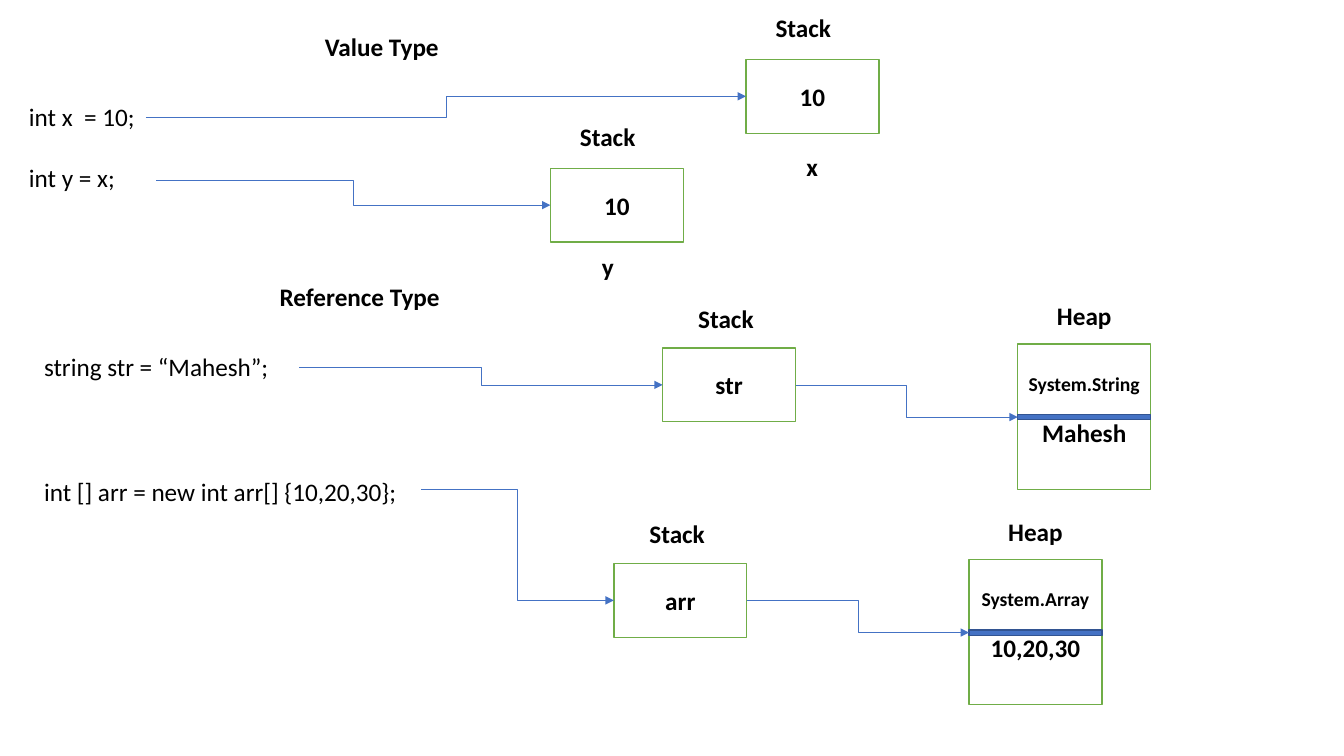
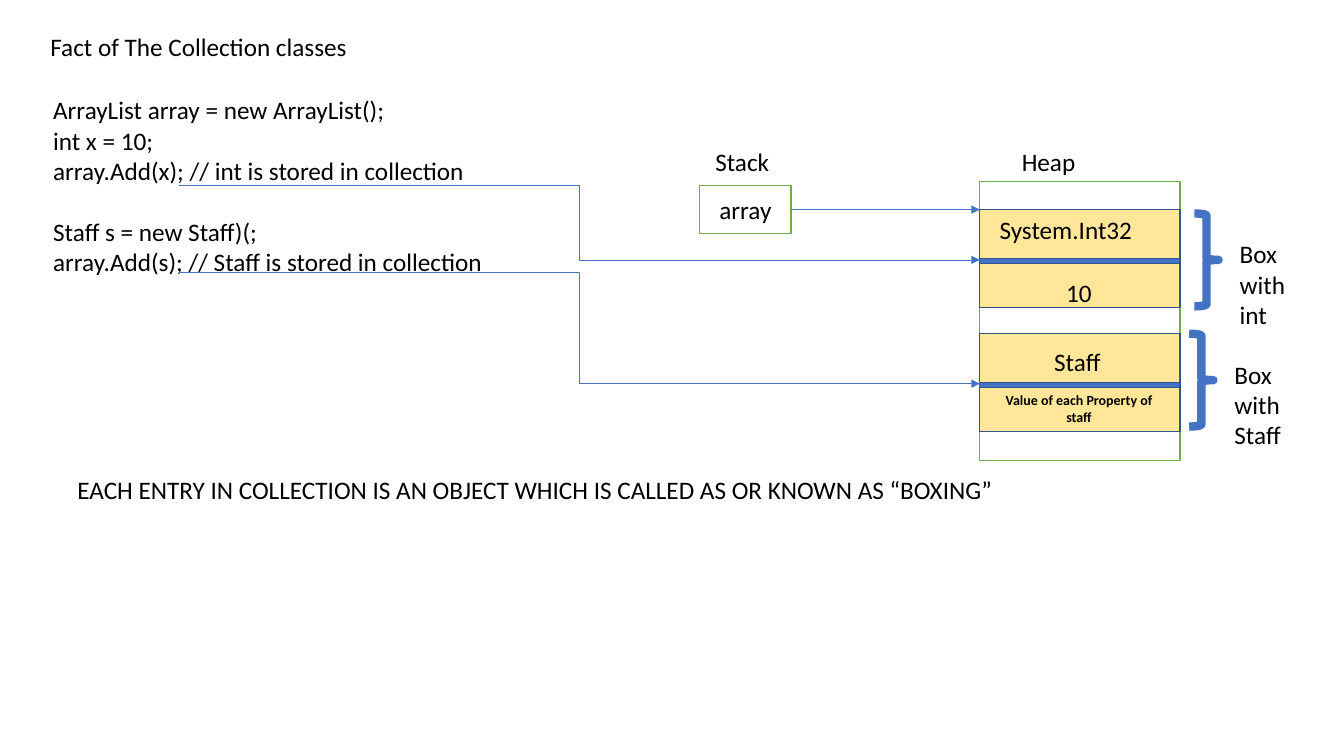
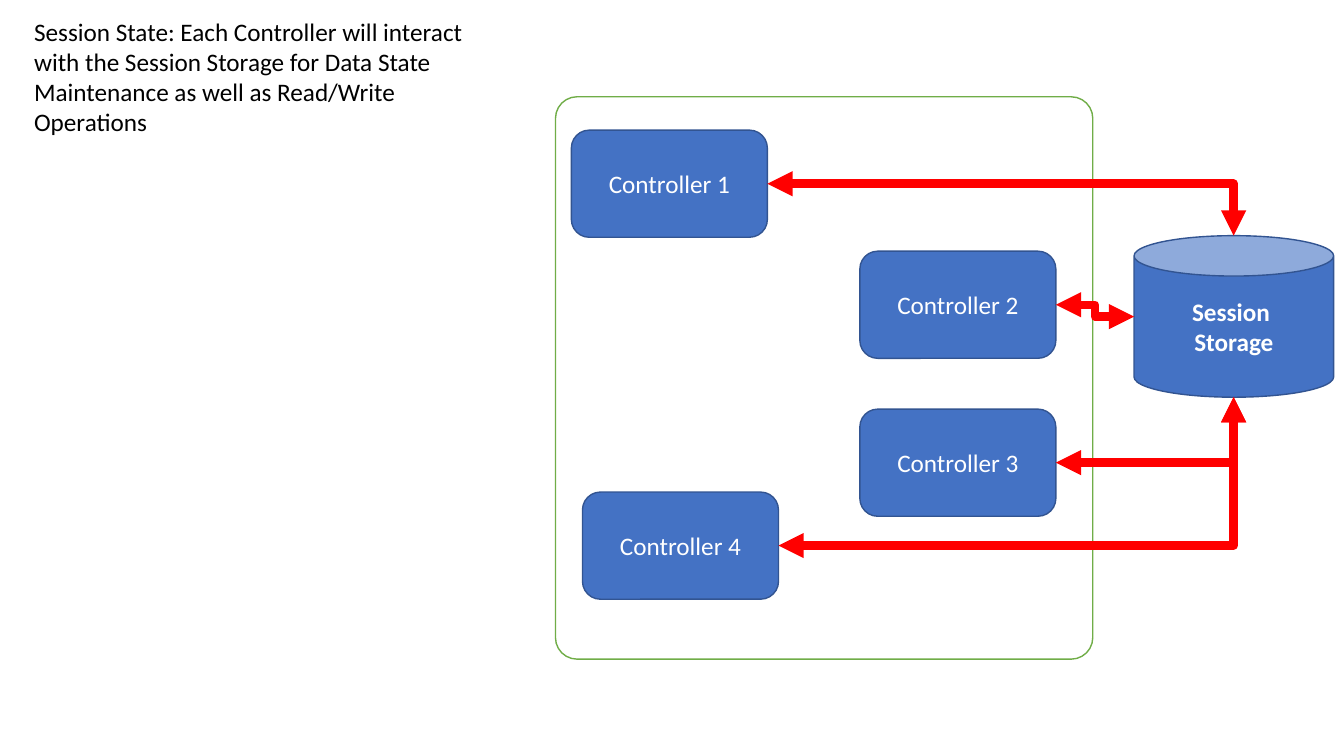
"""Build three slides on value types, boxing and session state."""
from dataclasses import dataclass
from lxml.etree import SubElement
from pptx import Presentation
from pptx.dml.color import RGBColor as RGB
from pptx.enum.shapes import MSO_CONNECTOR as Wire, MSO_SHAPE as Kind
from pptx.enum.text import MSO_ANCHOR as Anchor, MSO_AUTO_SIZE as Auto, PP_ALIGN as Align
from pptx.oxml.ns import qn
from pptx.util import Cm, Pt


@dataclass(frozen=True)
class Theme:
    font: str = "Calibri"
    black: str = "000000"
    white: str = "FFFFFF"
    blue: str = "4472C4"
    navy: str = "325491"
    green: str = "70AD47"
    sand: str = "FFE699"
    red: str = "FF0000"
    body: int = 18
    note: int = 14
    tiny: int = 10
    gap: int = 22
    thin: float = 0.5
    edge: float = 1
    thick: float = 6


look = Theme()
LEFT, MID = Align.LEFT, Align.CENTER


def put(slide, box, text="", kind=None, fill=None, line=look.green, width=look.edge,
        size=look.body, bold=False, ink=look.black, align=MID):
    area = [Cm(n) for n in box]
    if kind is None:
        item = slide.shapes.add_textbox(*area)
        item.text_frame.auto_size = Auto.SHAPE_TO_FIT_TEXT
    else:
        item = slide.shapes.add_shape(kind, *area)
        item.shadow.inherit = False
        item.line.color.rgb = RGB.from_string(line)
        item.line.width = Pt(width)
        if fill:
            item.fill.solid()
            item.fill.fore_color.rgb = RGB.from_string(fill)
        else:
            item.fill.background()
        item.text_frame.vertical_anchor = Anchor.MIDDLE
    frame = item.text_frame
    frame.word_wrap = True
    first = True
    for block in text.split("\n\n") if text else []:
        for row, words in enumerate(block.split("\n")):
            para = frame.paragraphs[0] if first else frame.add_paragraph()
            para.text = words
            para.alignment = align
            if row == 0 and not first:
                para.space_before = Pt(look.gap)
            para.font.name = look.font
            para.font.size = Pt(size)
            para.font.bold = bold
            para.font.color.rgb = RGB.from_string(ink)
            first = False
    return item


def link(slide, start, end, wire=Wire.ELBOW, color=look.blue, width=look.thin, both=False, corner=False):
    item = slide.shapes.add_connector(wire, *[Cm(n) for n in (*start, *end)])
    item.line.color.rgb = RGB.from_string(color)
    item.line.width = Pt(width)
    props = item.element.find(qn("p:spPr"))
    for tag in ("a:headEnd", "a:tailEnd") if both else ("a:tailEnd",):
        SubElement(props.find(qn("a:ln")), qn(tag), type="triangle")
    SubElement(props, qn("a:effectLst"))
    if corner:
        props.find(qn("a:prstGeom")).set("prst", "bentConnector2")


deck = Presentation()
deck.slide_width, deck.slide_height = Cm(33.87), Cm(19.05)
types, boxing, state = [deck.slides.add_slide(deck.slide_layouts[6]) for _ in range(3)]

put(types, (0.86, 0.66, 17.53, 1.02), "Value Type", bold=True)
put(types, (0.3, 6.96, 17.53, 1.02), "Reference Type", bold=True)
put(types, (0.48, 2.44, 7.65, 2.57), "int x  = 10;\n\nint y = x;", align=LEFT)
put(types, (0.86, 8.74, 9.17, 1.02), "string str = “Mahesh”;", align=LEFT)
put(types, (0.86, 11.89, 15.85, 1.02), "int [] arr = new int arr[] {10,20,30}; ", align=LEFT)

wide, high = 3.35, 1.86
for name, left, top, tag, start in [
    ("x", 18.8, 1.5, (19.63, 3.68), (3.68, 2.95)),
    ("y", 13.87, 4.24, (14.48, 6.22), (3.94, 4.55)),
]:
    put(types, (left, top, wide, high), "10", Kind.RECTANGLE, look.white, bold=True)
    put(types, (left + 0.1, top - 1.32, 2.69, 1.02), "Stack", bold=True)
    put(types, (*tag, 1.68, 1.02), name, bold=True)
    link(types, start, (left, top + high / 2))

for name, kin, value, left, top, start in [
    ("str", "System.String", "Mahesh", 16.7, 8.77, (7.54, 9.25)),
    ("arr", "System.Array", "10,20,30", 15.47, 14.2, (10.62, 12.32)),
]:
    heap, roof, mid = left + 8.95, top - 0.1, top + high / 2
    put(types, (left, top, wide, high), name, Kind.RECTANGLE, look.white, bold=True)
    put(types, (left + 0.25, top - 1.26, 2.69, 1.02), "Stack", bold=True)
    cell = put(types, (heap, roof, wide, 3.66), value, Kind.RECTANGLE, look.white, bold=True)
    cell.text_frame.margin_top = Cm(0.9)
    put(types, (heap + 0.33, roof - 1.22, 2.69, 1.02), "Heap", bold=True)
    put(types, (heap, roof + 0.57, wide, 0.86), kin, size=look.note, bold=True)
    put(types, (heap, roof + 1.78, wide, 0.13), "", Kind.RECTANGLE, look.blue, look.navy)
    link(types, start, (left, mid))
    link(types, (left + wide, mid), (heap, roof + 1.84))

put(boxing, (1.02, 0.66, 31.62, 1.02), "Fact of The Collection classes", align=LEFT)
code = """ArrayList array = new ArrayList();
int x = 10;
array.Add(x); // int is stored in collection

Staff s = new Staff)(;
array.Add(s); // Staff is stored in collection"""
put(boxing, (1.09, 2.26, 13.03, 4.88), code, align=LEFT)
put(boxing, (24.61, 3.56, 3.63, 1.02), "Heap")
put(boxing, (16.89, 3.56, 3.63, 1.02), "Stack")
put(boxing, (17.63, 4.67, 2.31, 1.22), "array", Kind.RECTANGLE, look.white)
heap, span = 24.69, 5.05
put(boxing, (heap, 4.57, span, 7.04), "", Kind.RECTANGLE, look.white)
link(boxing, (19.94, 5.28), (heap, 5.28), Wire.STRAIGHT)
for top, kin, head, side, value, low, size, brace, label, start in [
    (5.28, "System.Int32", (5.28, 4.83), LEFT, "10", 6.86, look.body, (30.1, 5.38), "int", 4.67),
    (8.4, "Staff", (8.61, 4.42), MID, "Value of each Property of staff", 9.75, look.tiny,
     (29.97, 8.41), "Staff", 6.86),
]:
    put(boxing, (heap, top, span, 2.47), "", Kind.RECTANGLE, look.sand, look.navy)
    put(boxing, (heap, top + 1.24, span, 0.12), "", Kind.RECTANGLE, look.blue, look.navy)
    put(boxing, (heap + 0.25, head[0], head[1], 1.02), kin, align=side)
    put(boxing, (heap + 0.25, low, 4.5, 1.02), value, size=size, bold=size == look.tiny)
    link(boxing, (4.52, start), (heap, top + 1.27))
    put(boxing, (*brace, 0.61, 2.34), "", Kind.RIGHT_BRACE, None, look.blue, look.thick)
    put(boxing, (brace[0] + 0.89, brace[1] + 0.51, 2.49, 2.57), "Box with\n" + label, align=LEFT)
put(boxing, (1.7, 11.84, 24.21, 1.02),
    "EACH ENTRY IN COLLECTION IS AN OBJECT WHICH IS CALLED AS OR KNOWN AS “BOXING”", align=LEFT)

put(state, (0.61, 0.28, 11.73, 3.33),
    "Session State: Each Controller will interact with the Session Storage for Data State "
    "Maintenance as well as Read/Write Operations", align=LEFT)
host = put(state, (14, 2.44, 13.54, 14.17), "", Kind.ROUNDED_RECTANGLE, look.white)
host.adjustments[0] = 0.04
put(state, (28.58, 5.94, 5.03, 4.07), "Session \nStorage", Kind.CAN, look.blue, look.navy,
    bold=True, ink=look.white)
roof, side, base = (31.09, 5.94), (28.58, 7.98), (31.09, 10.01)
wide, high = 4.94, 2.7
for num, (left, top, end) in enumerate([
    (14.4, 3.28, roof), (21.67, 6.33, side), (21.67, 10.31, base), (14.68, 12.4, base),
], 1):
    put(state, (left, top, wide, high), f"Controller {num}", Kind.ROUNDED_RECTANGLE,
        look.blue, look.navy, ink=look.white)
    link(state, (left + wide, top + high / 2), end, color=look.red, width=look.thick,
         both=True, corner=end != side)

deck.save("out.pptx")
